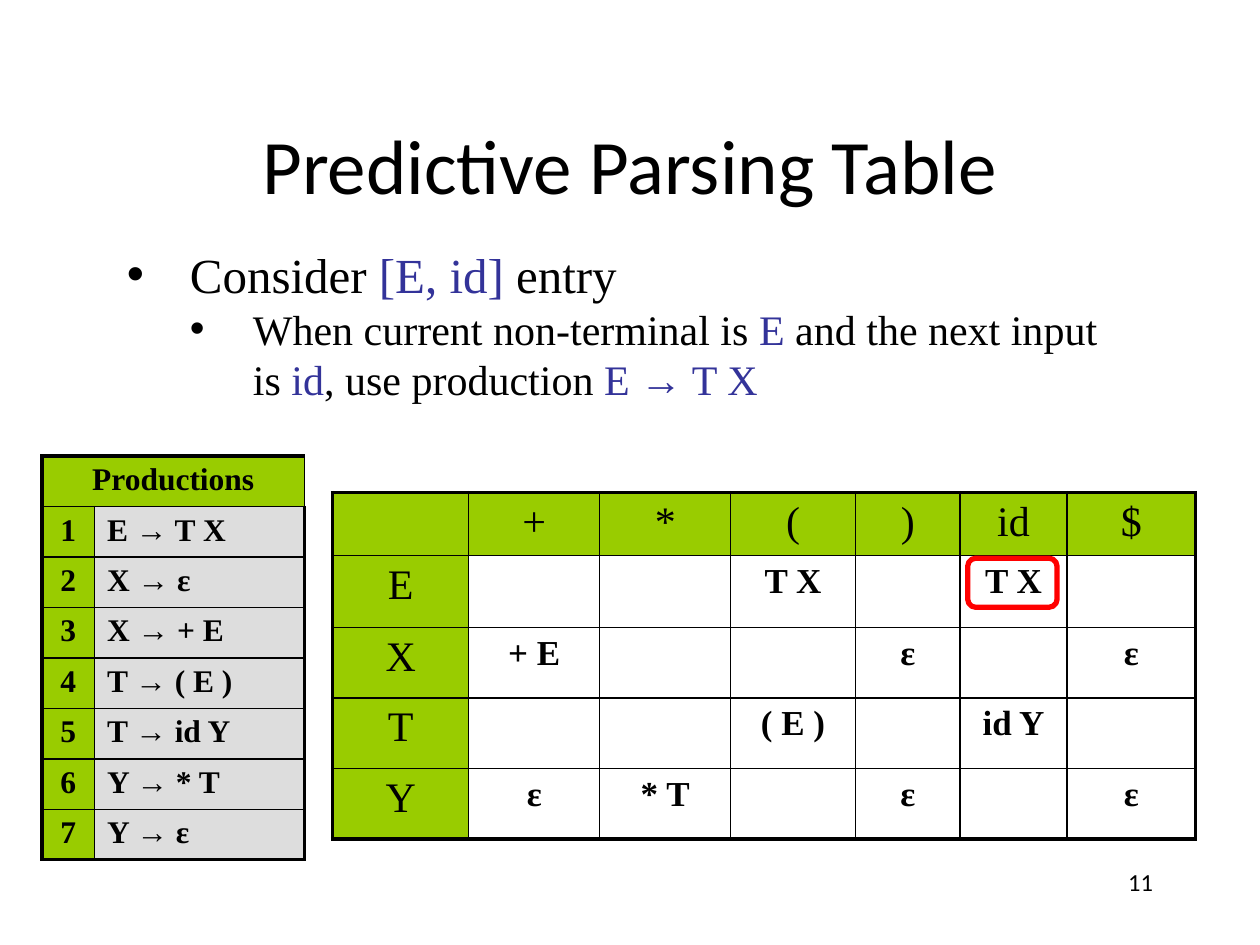
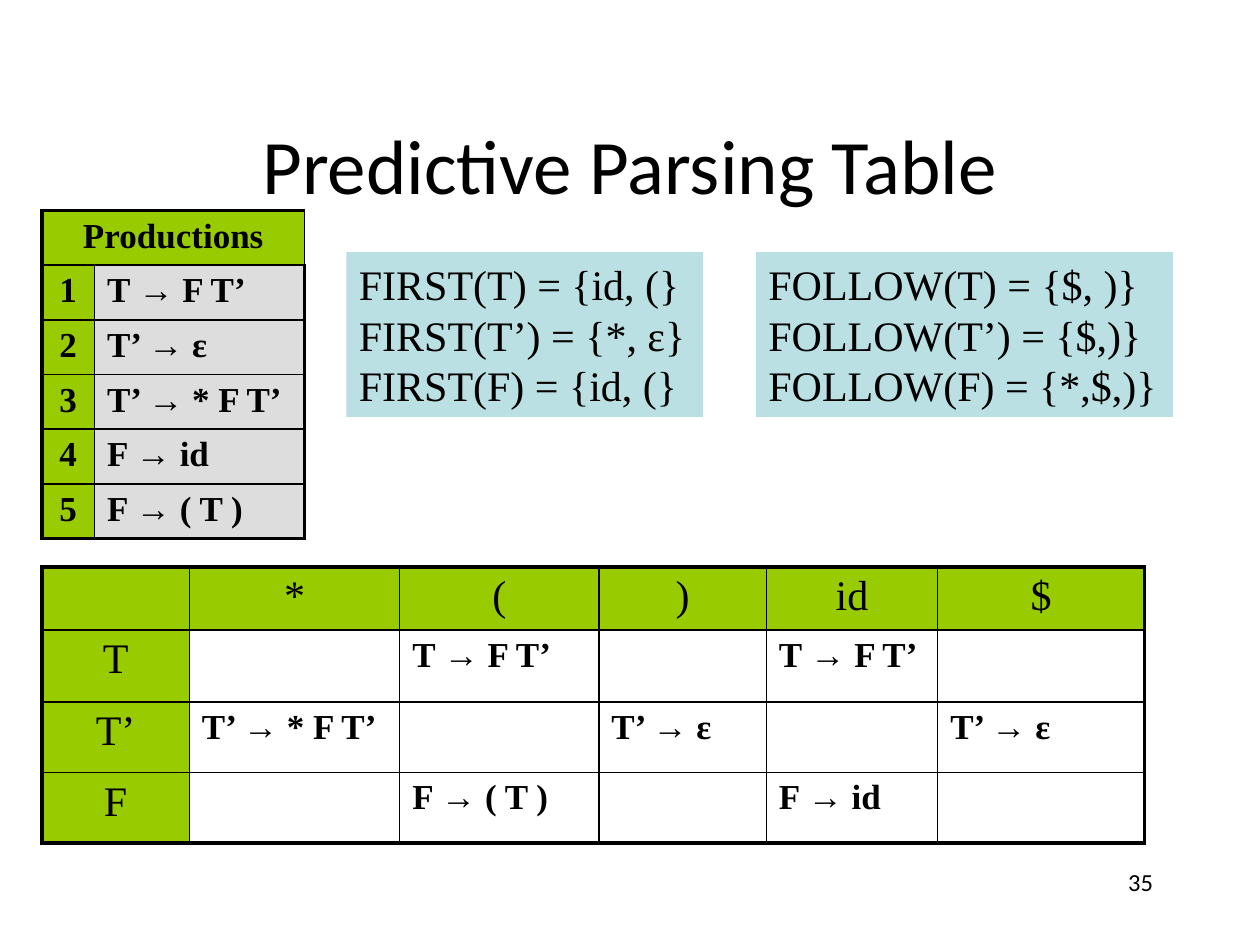
from dataclasses import dataclass
from typing import Any, NamedTuple

from lxml.etree import SubElement
from pptx import Presentation
from pptx.dml.color import RGBColor as Color
from pptx.enum.shapes import MSO_SHAPE as Preset
from pptx.enum.text import MSO_ANCHOR as Anchor, PP_ALIGN as Align
from pptx.oxml.ns import qn
from pptx.util import Inches, Pt


@dataclass(frozen=True)
class Theme:
    """Colours, fonts, type sizes and line widths shared by the slides."""

    ink: str = "000000"
    symbol: str = "333399"
    header: str = "99CC00"
    rule: str = "DDDDDD"
    paper: str = "FFFFFF"
    panel: str = "BBE0E3"
    highlight: str = "FF0000"
    heading_font: str = "Calibri"
    body_font: str = "Times New Roman"
    title_size: int = 44
    lead_size: int = 28
    text_size: int = 24
    entry_size: int = 20
    number_size: int = 14
    inner_line: float = 1
    outer_line: float = 2.25
    highlight_line: float = 3


class Area(NamedTuple):
    """A rectangle in grid columns and rows."""

    column: float
    row: float
    columns: float
    rows: float


class Run(NamedTuple):
    """A piece of text with its colour."""

    text: str
    color: str


class Bullet(NamedTuple):
    """A bulleted paragraph made of runs."""

    level: int
    size: int
    runs: list[Run]


class Grammar(NamedTuple):
    """A numbered list of productions, drawn as a table."""

    column: float
    row: float
    row_height: float
    size: int
    rules: list[str]


class ParsingTable(NamedTuple):
    """A parsing table whose first row and column are headings."""

    column: float
    row: float
    widths: list[float]
    entry_align: Align
    cells: list[list[str]]


class Panel(NamedTuple):
    """A filled box with one line of text per set."""

    area: Area
    lines: list[str]


THEME = Theme()
GRID_COLUMNS, GRID_ROWS = 100, 75
SLIDE_WIDTH, SLIDE_HEIGHT = Inches(10), Inches(7.5)
TITLE_AREA = Area(7.5, 6.7, 85, 12.5)
NUMBER_AREA = Area(71.7, 68.3, 20.8, 5)
GRAMMAR_WIDTHS = [4.17, 16.67]
HEADER_ROW, FIRST_ROW, OTHER_ROW = 5, 5.7, 5.6


def across(columns: float) -> int:
    """Turn grid columns into a length."""
    return round(SLIDE_WIDTH * columns / GRID_COLUMNS)


def down(rows: float) -> int:
    """Turn grid rows into a length."""
    return round(SLIDE_HEIGHT * rows / GRID_ROWS)


def place(area: Area) -> tuple[int, int, int, int]:
    """Give left, top, width and height of an area."""
    return across(area.column), down(area.row), across(area.columns), down(area.rows)


def apply(target: Any, values: dict[str, Any]) -> None:
    """Set each attribute named in a dict."""
    for name, value in values.items():
        setattr(target, name, value)


def add_run(paragraph: Any, text: str, size: int, font: str = THEME.body_font,
            color: str = THEME.ink, bold: bool = False) -> None:
    """Append a formatted run."""
    run = paragraph.add_run()
    run.text = text
    apply(run.font, {"size": Pt(size), "name": font, "bold": bold})
    run.font.color.rgb = Color.from_string(color)


def add_label(slide: Any, area: Area, text: str, size: int, align: Align, anchor: Anchor) -> None:
    """Draw one line of heading type."""
    frame = slide.shapes.add_textbox(*place(area)).text_frame
    apply(frame, {"word_wrap": True, "vertical_anchor": anchor})
    frame.paragraphs[0].alignment = align
    add_run(frame.paragraphs[0], text, size, THEME.heading_font)


def add_bullets(slide: Any, area: Area, bullets: list[Bullet]) -> None:
    """Draw bulleted paragraphs with hanging indents."""
    frame = slide.shapes.add_textbox(*place(area)).text_frame
    frame.word_wrap = True
    for index, bullet in enumerate(bullets):
        paragraph = frame.add_paragraph() if index else frame.paragraphs[0]
        paragraph.level = bullet.level
        properties = paragraph._p.get_or_add_pPr()
        properties.set("marL", str(Inches(0.5 * (bullet.level + 1))))
        properties.set("indent", str(-Inches(0.5)))
        SubElement(properties, qn("a:buFont"), typeface="Arial")
        SubElement(properties, qn("a:buChar"), char="•")
        for run in bullet.runs:
            add_run(paragraph, run.text, bullet.size, color=run.color)


def add_panel(slide: Any, panel: Panel) -> None:
    """Draw a filled box of text lines."""
    shape = slide.shapes.add_shape(Preset.RECTANGLE, *place(panel.area))
    shape.shadow.inherit = False
    shape.fill.solid()
    shape.fill.fore_color.rgb = Color.from_string(THEME.panel)
    shape.line.fill.background()
    frame = shape.text_frame
    apply(frame, {"word_wrap": False, "vertical_anchor": Anchor.MIDDLE})
    for index, line in enumerate(panel.lines):
        paragraph = frame.add_paragraph() if index else frame.paragraphs[0]
        paragraph.alignment = Align.LEFT
        add_run(paragraph, line, THEME.text_size)


def add_highlight(slide: Any, area: Area) -> None:
    """Draw a rounded outline around an entry."""
    shape = slide.shapes.add_shape(Preset.ROUNDED_RECTANGLE, *place(area))
    shape.shadow.inherit = False
    shape.fill.background()
    shape.line.color.rgb = Color.from_string(THEME.highlight)
    shape.line.width = Pt(THEME.highlight_line)


def add_grid(slide: Any, column: float, row: float, widths: list[float], heights: list[float]) -> Any:
    """Add a plain table with a heavy frame and thin inner lines."""
    area = Area(column, row, sum(widths), sum(heights))
    table = slide.shapes.add_table(len(heights), len(widths), *place(area)).table
    apply(table, {"first_row": False, "horz_banding": False})
    for table_column, width in zip(table.columns, widths):
        table_column.width = across(width)
    for table_row, height in zip(table.rows, heights):
        table_row.height = down(height)
    last_row, last_column = len(heights) - 1, len(widths) - 1
    for row_index in range(len(heights)):
        for column_index in range(len(widths)):
            properties = table.cell(row_index, column_index)._tc.get_or_add_tcPr()
            edges = {"L": column_index == 0, "R": column_index == last_column,
                     "T": row_index == 0, "B": row_index == last_row}
            for side, is_outer in edges.items():
                width = THEME.outer_line if is_outer else THEME.inner_line
                line = SubElement(properties, qn(f"a:ln{side}"), w=str(Pt(width)))
                SubElement(SubElement(line, qn("a:solidFill")), qn("a:srgbClr"), val=THEME.ink)
    return table


def fill_cell(cell: Any, text: str, fill: str, size: int, align: Align, bold: bool) -> None:
    """Colour a cell and write its text."""
    cell.fill.solid()
    cell.fill.fore_color.rgb = Color.from_string(fill)
    if text:
        paragraph = cell.text_frame.paragraphs[0]
        paragraph.alignment = align
        add_run(paragraph, text, size, bold=bold)


def add_grammar(slide: Any, grammar: Grammar) -> None:
    """Draw the numbered productions under a merged heading."""
    heights = [grammar.row_height] * (len(grammar.rules) + 1)
    table = add_grid(slide, grammar.column, grammar.row, GRAMMAR_WIDTHS, heights)
    table.cell(0, 0).merge(table.cell(0, 1))
    fill_cell(table.cell(0, 0), "Productions", THEME.header, grammar.size, Align.CENTER, True)
    for number, rule in enumerate(grammar.rules, 1):
        fill_cell(table.cell(number, 0), str(number), THEME.header, grammar.size, Align.CENTER, True)
        fill_cell(table.cell(number, 1), rule, THEME.rule, grammar.size, Align.LEFT, True)


def add_parsing_table(slide: Any, parsing: ParsingTable) -> None:
    """Draw a parsing table with green headings."""
    heights = [HEADER_ROW, FIRST_ROW] + [OTHER_ROW] * (len(parsing.cells) - 2)
    table = add_grid(slide, parsing.column, parsing.row, parsing.widths, heights)
    for row_index, texts in enumerate(parsing.cells):
        for column_index, text in enumerate(texts):
            cell = table.cell(row_index, column_index)
            if row_index == 0 or column_index == 0:
                fill_cell(cell, text, THEME.header, THEME.text_size, Align.CENTER, False)
            else:
                fill_cell(cell, text, THEME.paper, THEME.entry_size, parsing.entry_align, True)


def add_slide(presentation: Any, number: int) -> Any:
    """Add a blank slide with the shared title and its number."""
    slide = presentation.slides.add_slide(presentation.slide_layouts[6])
    add_label(slide, TITLE_AREA, "Predictive Parsing Table", THEME.title_size, Align.CENTER, Anchor.MIDDLE)
    add_label(slide, NUMBER_AREA, str(number), THEME.number_size, Align.RIGHT, Anchor.TOP)
    return slide


def build_entry_slide(presentation: Any) -> None:
    """Build the slide on one table entry."""
    slide = add_slide(presentation, 11)
    add_parsing_table(slide, ParsingTable(
        26.4, 39.1, [10.8, 10.4, 10.4, 9.9, 8.3, 8.5, 10.2], Align.CENTER, [
            ["", "+", "*", "(", ")", "id", "$"],
            ["E", "", "", "T X", "", "T X", ""],
            ["X", "+ E", "", "", "ε", "", "ε"],
            ["T", "", "", "( E )", "", "id Y", ""],
            ["Y", "ε", "* T", "", "ε", "", "ε"]]))
    add_grammar(slide, Grammar(3.33, 36.2, 3.77, 18, [
        "E → T X", "X → ε", "X → + E", "T → ( E )", "T → id Y", "Y → * T", "Y → ε"]))
    add_bullets(slide, Area(9.1, 18.9, 80.3, 13.8), [
        Bullet(0, THEME.lead_size, [
            Run("Consider ", THEME.ink), Run("[E, id]", THEME.symbol), Run(" entry", THEME.ink)]),
        Bullet(1, THEME.text_size, [
            Run("When current non-terminal is ", THEME.ink), Run("E", THEME.symbol),
            Run(" and the next input is ", THEME.ink), Run("id", THEME.symbol),
            Run(", use production ", THEME.ink), Run("E → T X", THEME.symbol)])])
    add_highlight(slide, Area(76.8, 44.3, 7.1, 3.9))


def build_sets_slide(presentation: Any) -> None:
    """Build the slide on FIRST and FOLLOW sets."""
    slide = add_slide(presentation, 35)
    add_parsing_table(slide, ParsingTable(
        3.33, 45, [11.7, 16.7, 15.8, 13.3, 13.6, 16.4], Align.LEFT, [
            ["", "*", "(", ")", "id", "$"],
            ["T", "", "T → F T’", "", "T → F T’", ""],
            ["T’", "T’ → * F T’", "", "T’ → ε", "", "T’ → ε"],
            ["F", "", "F → ( T )", "", "F → id", ""]]))
    add_grammar(slide, Grammar(3.33, 16.7, 4.09, THEME.entry_size, [
        "T → F T’", "T’ → ε", "T’ → * F T’", "F → id", "F → ( T )"]))
    add_panel(slide, Panel(Area(27.5, 20, 28.3, 13.1), [
        "FIRST(T) = {id, (}", "FIRST(T’) = {*, ε}", "FIRST(F) = {id, (}"]))
    add_panel(slide, Panel(Area(60, 20, 33.1, 13.1), [
        "FOLLOW(T) = {$, )}", "FOLLOW(T’) = {$,)}", "FOLLOW(F) = {*,$,)}"]))


def main() -> None:
    """Build and save the presentation."""
    presentation = Presentation()
    apply(presentation, {"slide_width": SLIDE_WIDTH, "slide_height": SLIDE_HEIGHT})
    build_entry_slide(presentation)
    build_sets_slide(presentation)
    presentation.save("out.pptx")


if __name__ == "__main__":
    main()
